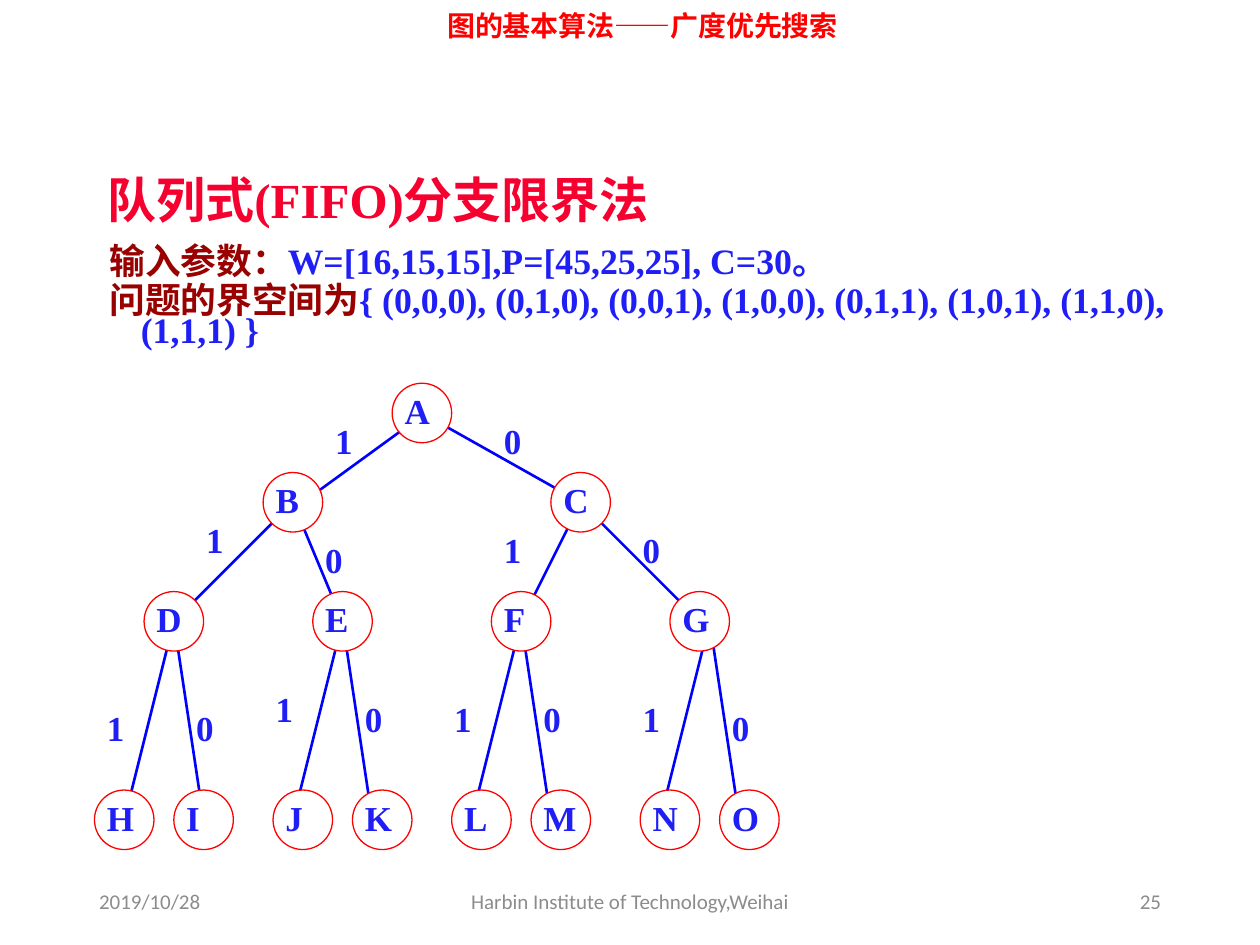
from dataclasses import dataclass

from lxml.etree import SubElement
from pptx import Presentation
from pptx.dml.color import RGBColor
from pptx.enum.shapes import MSO_AUTO_SHAPE_TYPE as ShapeType, MSO_CONNECTOR_TYPE as LineType
from pptx.enum.text import MSO_VERTICAL_ANCHOR as Anchor, PP_PARAGRAPH_ALIGNMENT as Align
from pptx.oxml.ns import qn
from pptx.util import Pt


@dataclass(frozen=True)
class Theme:
    red: str = "FF0000"
    title: str = "F6002F"
    label: str = "990000"
    text: str = "1F1FF5"
    edge: str = "0000FF"
    white: str = "FFFFFF"
    footer: str = "8C8C8C"
    serif: str = "Times New Roman"
    sans: str = "Calibri"
    chinese: str = "Noto Sans CJK SC"
    header_size: float = 16
    title_size: float = 28
    body_size: float = 20.4
    tree_size: float = 20
    footer_size: float = 12


@dataclass(frozen=True)
class Edge:
    parent: str
    child: str
    value: str
    label: tuple
    label_width: int = 6
    start_shift: tuple = (0, 0)
    end_shift: tuple = (0, 0)


THEME = Theme()
UNIT = 5.67
TREE_LEFT, TREE_TOP = 54, 219
NODE_SPAN = 6
LABEL_HEIGHT = 31

LEVELS = {
    0: {"A": 30},
    9: {"B": 17, "C": 46},
    21: {"D": 5, "E": 22, "F": 40, "G": 58},
    41: {"H": 0, "I": 8, "J": 18, "K": 26, "L": 36, "M": 44, "N": 55, "O": 63},
}
NODES = {name: (column, row) for row, names in LEVELS.items() for name, column in names.items()}

EDGES = [
    Edge("A", "B", "1", (23, 3), start_shift=(-1, 1), end_shift=(1, 0)),
    Edge("A", "C", "0", (40, 3)),
    Edge("B", "D", "1", (10, 13), label_width=4),
    Edge("B", "E", "0", (22, 15)),
    Edge("C", "F", "1", (40, 14)),
    Edge("C", "G", "0", (54, 14)),
    Edge("D", "H", "1", (0, 32)),
    Edge("D", "I", "0", (9, 32)),
    Edge("E", "J", "1", (17, 30), end_shift=(-1, 0)),
    Edge("E", "K", "0", (26, 31), end_shift=(-1, 0)),
    Edge("F", "L", "1", (35, 31), end_shift=(-1, 0)),
    Edge("F", "M", "0", (44, 31), end_shift=(-1, 0)),
    Edge("G", "N", "1", (54, 31), label_width=5, start_shift=(1, 0), end_shift=(-1, 0)),
    Edge("G", "O", "0", (63, 32), start_shift=(1, 0), end_shift=(-1, 0)),
]


def color(code):
    return RGBColor.from_string(code)


def add_text(page, paragraphs, left, top, width, height, *, size, font=THEME.serif,
             bold=True, align=Align.LEFT, anchor=Anchor.TOP, wrap=True,
             inset=(7.2, 3.6), hanging=None, line_spacing=None, gap=0):
    box = page.shapes.add_textbox(Pt(left), Pt(top), Pt(width), Pt(height))
    frame = box.text_frame
    frame.word_wrap = wrap
    frame.vertical_anchor = anchor
    frame.margin_left, frame.margin_top = Pt(inset[0]), Pt(inset[1])
    for index, spans in enumerate(paragraphs):
        para = frame.add_paragraph() if index else frame.paragraphs[0]
        para.alignment = align
        if line_spacing:
            para.line_spacing = line_spacing
        if index and gap:
            para.space_before = Pt(gap)
        if hanging:
            properties = para._p.get_or_add_pPr()
            properties.set("marL", str(Pt(hanging[0])))
            properties.set("indent", str(Pt(hanging[1])))
        for text, code in spans:
            span = para.add_run()
            span.text = text
            span.font.name = font
            span.font.size = Pt(size)
            span.font.bold = bold
            span.font.color.rgb = color(code)
            east_asian = SubElement(span._r.get_or_add_rPr(), qn("a:ea"))
            east_asian.set("typeface", THEME.chinese)
    return box


def grid_point(column, row):
    return TREE_LEFT + column * UNIT, TREE_TOP + row * UNIT


def node_center(name, shift):
    column, row = NODES[name]
    return grid_point(column + NODE_SPAN / 2 + shift[0], row + NODE_SPAN / 2 + shift[1])


def add_edge(page, edge):
    start = node_center(edge.parent, edge.start_shift)
    end = node_center(edge.child, edge.end_shift)
    line = page.shapes.add_connector(LineType.STRAIGHT, *map(Pt, start + end))
    line.line.color.rgb = color(THEME.edge)
    line.line.width = Pt(1.5)
    SubElement(line._element.spPr, qn("a:effectLst"))


def add_circle(page, column, row):
    left, top = grid_point(column, row)
    diameter = Pt(NODE_SPAN * UNIT)
    circle = page.shapes.add_shape(ShapeType.OVAL, Pt(left), Pt(top), diameter, diameter)
    circle.shadow.inherit = False
    circle.fill.solid()
    circle.fill.fore_color.rgb = color(THEME.white)
    circle.line.color.rgb = color(THEME.red)
    circle.line.width = Pt(0.75)


def add_tree_label(page, text, place, span=NODE_SPAN):
    add_text(page, [[(text, THEME.text)]], *grid_point(*place), span * UNIT, LABEL_HEIGHT,
             size=THEME.tree_size)


def add_tree(page):
    for edge in EDGES:
        add_edge(page, edge)
    for place in NODES.values():
        add_circle(page, *place)
    for name, place in NODES.items():
        add_tree_label(page, name, place)
    for edge in EDGES:
        add_tree_label(page, edge.value, edge.label, edge.label_width)


def add_footer(page, text, left, width, align):
    add_text(page, [[(text, THEME.footer)]], left, 500.5, width, 28.75, size=THEME.footer_size,
             font=THEME.sans, bold=False, align=align, anchor=Anchor.MIDDLE)


def main():
    deck = Presentation()
    deck.slide_width, deck.slide_height = Pt(720), Pt(540)
    page = deck.slides.add_slide(deck.slide_layouts[6])

    add_tree(page)
    parameters = [
        [("输入参数：", THEME.label), ("W=[16,15,15],P=[45,25,25], C=30。", THEME.text)],
        [("问题的界空间为", THEME.label),
         ("{ (0,0,0), (0,1,0), (0,0,1), (1,0,0), (0,1,1), (1,0,1), (1,1,0), (1,1,1) }",
          THEME.text)],
    ]
    add_text(page, parameters, -3, 128, 708.5, 79, size=THEME.body_size, inset=(29.5, 15),
             hanging=(54, -18), line_spacing=0.7, gap=5)
    add_text(page, [[("队列式(FIFO)分支限界法", THEME.title)]], 25, 88.5, 572.5, 51,
             size=THEME.title_size, inset=(36.5, 15), line_spacing=0.8)
    add_text(page, [[("图的基本算法——广度优先搜索", THEME.red)]], 98, 1.5, 538.5, 39.5,
             size=THEME.header_size, font=THEME.chinese, align=Align.CENTER, wrap=False)

    add_footer(page, "2019/10/28", 49.5, 162, Align.LEFT)
    add_footer(page, "Harbin Institute of Technology,Weihai", 238.5, 243, Align.CENTER)
    add_footer(page, "25", 508.5, 162, Align.RIGHT)
    deck.save("out.pptx")


if __name__ == "__main__":
    main()
